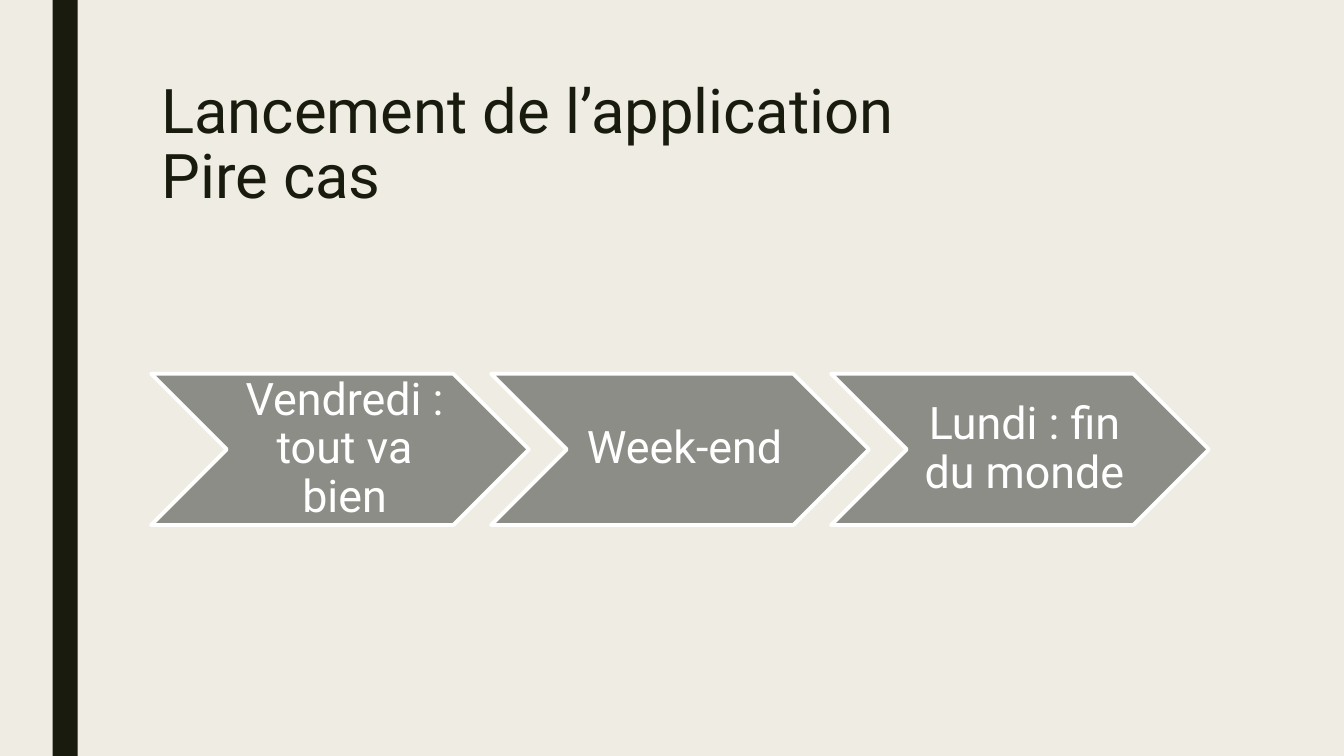
from pptx import Presentation
from pptx.dml.color import RGBColor
from pptx.enum.shapes import MSO_SHAPE as Shape
from pptx.enum.text import MSO_ANCHOR as Anchor, MSO_AUTO_SIZE as AutoSize, PP_ALIGN as Align
from pptx.util import Cm, Pt

CREAM = RGBColor(0xEF, 0xED, 0xE3)
DARK = RGBColor(0x19, 0x1B, 0x0E)
GREY = RGBColor(0x8C, 0x8D, 0x86)
WHITE = RGBColor(0xFF, 0xFF, 0xFF)
FONT = "Roboto"

STEPS = ["Vendredi : tout va bien", "Week-end", "Lundi : fin du monde"]
LEFT = 3.81
STEP_TOP, STEP_WIDTH, STEP_HEIGHT = 9.42, 9.52, 3.81
STEP_PITCH = 0.9 * STEP_WIDTH


def add_span(para, text, size, color):
    """Add one formatted run to a paragraph."""
    span = para.add_run()
    span.text = text
    span.font.name = FONT
    span.font.size = Pt(size)
    span.font.color.rgb = color


def add_filled(page, kind, left, top, width, height, color):
    """Add a flat filled shape, with lengths in centimetres."""
    box = page.shapes.add_shape(kind, Cm(left), Cm(top), Cm(width), Cm(height))
    box.shadow.inherit = False
    box.fill.solid()
    box.fill.fore_color.rgb = color
    return box


deck = Presentation()
deck.slide_width, deck.slide_height = Cm(33.87), Cm(19.05)
page = deck.slides.add_slide(deck.slide_layouts[5])
page.background.fill.solid()
page.background.fill.fore_color.rgb = CREAM

# Side bar
side_bar = add_filled(page, Shape.RECTANGLE, 1.33, 0, 0.63, 19.05, DARK)
side_bar.line.fill.background()

# Title
title = page.shapes.title
title.left, title.top, title.width, title.height = Cm(LEFT), Cm(1.9), Cm(26.67), Cm(4.14)
frame = title.text_frame
frame.auto_size = AutoSize.NONE
frame.word_wrap = True
frame.vertical_anchor = Anchor.TOP
para = frame.paragraphs[0]
para.alignment = Align.LEFT
para.line_spacing = 0.89
add_span(para, "Lancement de l’application ", 44, DARK)
para.add_line_break()
add_span(para, "Pire cas", 44, DARK)

# Row of chevrons
for index, step in enumerate(STEPS):
    chevron = add_filled(page, Shape.CHEVRON, LEFT + index * STEP_PITCH, STEP_TOP,
                         STEP_WIDTH, STEP_HEIGHT, GREY)
    chevron.line.color.rgb = WHITE
    chevron.line.width = Pt(2.75)
    frame = chevron.text_frame
    frame.word_wrap = True
    frame.vertical_anchor = Anchor.MIDDLE
    frame.margin_left = Cm(0.36)
    frame.margin_right = frame.margin_top = frame.margin_bottom = Cm(0.13)
    para = frame.paragraphs[0]
    para.alignment = Align.CENTER
    para.line_spacing = 0.9
    para.space_after = Pt(13)
    add_span(para, step, 32, WHITE)

deck.save("out.pptx")
